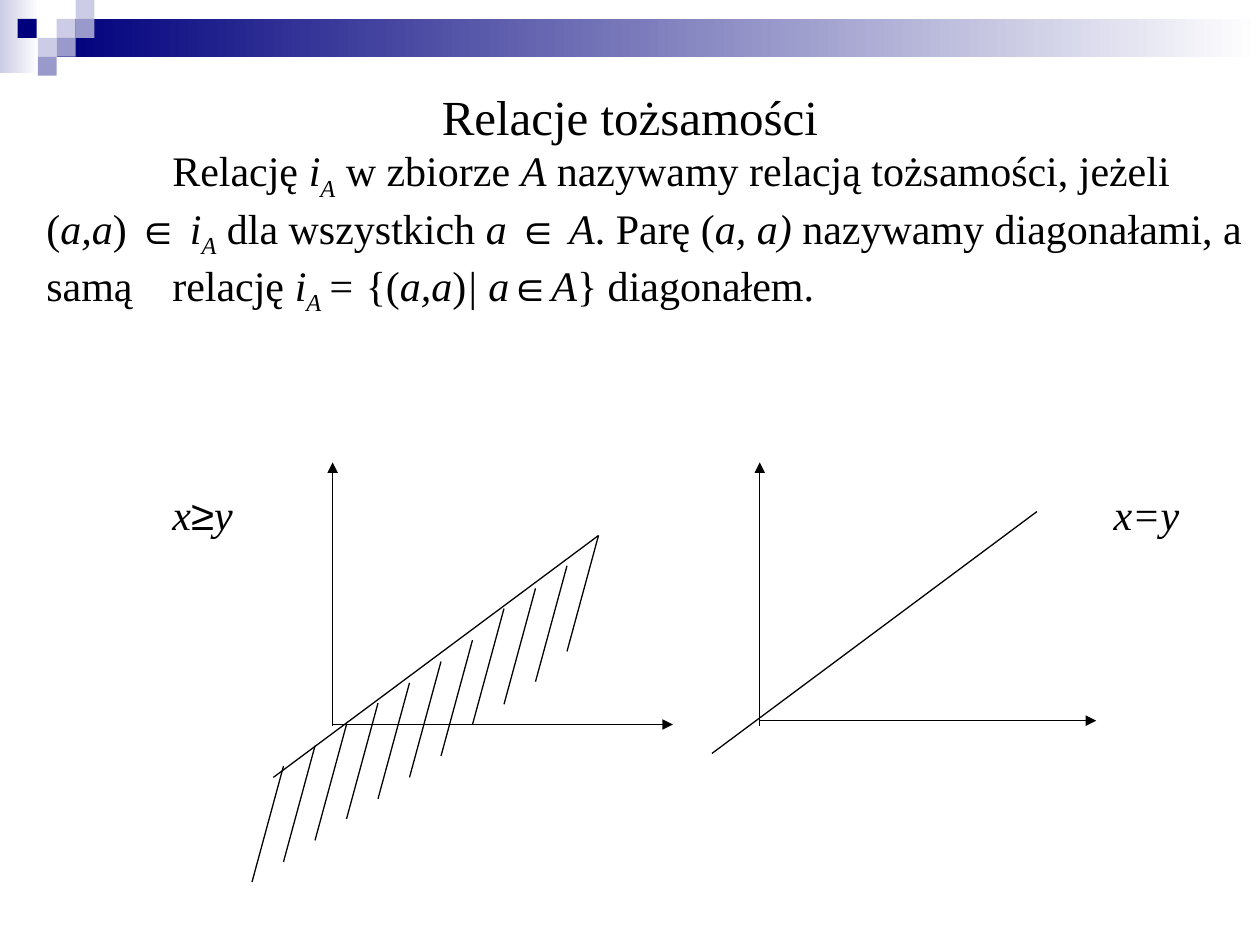
from dataclasses import dataclass
from lxml.etree import SubElement
from pptx import Presentation
from pptx.dml.color import RGBColor
from pptx.enum.shapes import MSO_CONNECTOR, MSO_SHAPE
from pptx.enum.text import MSO_ANCHOR, MSO_AUTO_SIZE, PP_ALIGN
from pptx.oxml.ns import qn
from pptx.util import Inches, Pt


@dataclass(frozen=True)
class Theme:
    ink: str = "000000"
    navy: str = "00007D"
    mid: str = "9999CC"
    pale: str = "CCCCE6"
    white: str = "FFFFFF"
    font: str = "Times New Roman"
    sign: str = "Arial"
    head: int = 28
    body: int = 24
    line: float = 0.75


class Deck:
    def __init__(self, theme):
        self.theme = theme
        self.file = Presentation()
        self.file.slide_width, self.file.slide_height = Inches(10), Inches(7.5)
        self.slide = self.file.slides.add_slide(self.file.slide_layouts[5])

    def rect(self, x, y, w, h, color, fade=None):
        box = self.slide.shapes.add_shape(
            MSO_SHAPE.RECTANGLE, Inches(x), Inches(y), Inches(w), Inches(h))
        box.shadow.inherit = False
        box.line.fill.background()
        if fade:
            box.fill.gradient()
            box.fill.gradient_angle = 0
            for stop, tone in zip(box.fill.gradient_stops, (color, fade)):
                stop.color.rgb = RGBColor.from_string(tone)
        else:
            box.fill.solid()
            box.fill.fore_color.rgb = RGBColor.from_string(color)

    def line(self, start, end, arrow=False):
        line = self.slide.shapes.add_connector(
            MSO_CONNECTOR.STRAIGHT, *(Inches(v) for v in (*start, *end)))
        line.line.color.rgb = RGBColor.from_string(self.theme.ink)
        line.line.width = Pt(self.theme.line)
        if arrow:
            SubElement(line.line._get_or_add_ln(), qn("a:tailEnd"), type="triangle")
        SubElement(line._element.spPr, qn("a:effectLst"))

    def run(self, para, text, size, style=""):
        """Style letters: i italic, s subscript, m maths sign."""
        run = para.add_run()
        run.text = text
        font = run.font
        font.name = self.theme.sign if "m" in style else self.theme.font
        font.size = Pt(size)
        font.italic = "i" in style
        font.color.rgb = RGBColor.from_string(self.theme.ink)
        if "s" in style:
            run._r.get_or_add_rPr().set("baseline", "-25000")

    def frame(self, shape):
        frame = shape.text_frame
        frame.word_wrap = True
        frame.auto_size = MSO_AUTO_SIZE.NONE
        frame.vertical_anchor = MSO_ANCHOR.TOP
        return frame.paragraphs[0]

    def title(self, x, y, w, h, text):
        shape = self.slide.shapes.title
        shape.left, shape.top = Inches(x), Inches(y)
        shape.width, shape.height = Inches(w), Inches(h)
        para = self.frame(shape)
        para.alignment = PP_ALIGN.CENTER
        self.run(para, text, self.theme.head)

    def text(self, x, y, w, h, runs, indent=0, tab=None):
        para = self.frame(self.slide.shapes.add_textbox(
            Inches(x), Inches(y), Inches(w), Inches(h)))
        props = para._p.get_or_add_pPr()
        props.set("indent", str(Inches(indent)))
        if tab:
            tabs = SubElement(props, qn("a:tabLst"))
            SubElement(tabs, qn("a:tab"), pos=str(Inches(tab)), algn="l")
        for text, style in runs:
            self.run(para, text, self.theme.body, style)


def main():
    theme = Theme()
    deck = Deck(theme)

    # Header band and mosaic
    deck.rect(0, 0, 0.31, 0.58, theme.pale, theme.white)
    deck.rect(0.45, 0.15, 9.55, 0.3, theme.navy, theme.white)
    tiles = [(0.45, 0.15, theme.pale), (0.6, 0, theme.pale), (0.6, 0.15, theme.mid),
             (0.3, 0.3, theme.pale), (0.14, 0.15, theme.navy),
             (0.45, 0.3, theme.mid), (0.3, 0.45, theme.mid)]
    for x, y, color in tiles:
        deck.rect(x, y, 0.15, 0.15, color)

    # Title and definition
    deck.title(0, 0.64, 10, 0.5, "Relacje tożsamości")
    deck.text(0.27, 1.1, 9.73, 1.5, [
        ("Relację ", ""), ("i", "i"), ("A", "is"), (" w zbiorze ", ""), ("A", "i"),
        (" nazywamy relacją tożsamości, jeżeli (", ""), ("a,a", "i"), (") ", ""),
        ("∈", "im"), (" i", "i"), ("A", "is"), (" dla wszystkich ", ""),
        ("a ", "i"), ("∈", "im"), (" A", "i"), (". Parę (", ""), ("a, a)", "i"),
        (" nazywamy diagonałami, a samą\trelację ", ""), ("i", "i"), ("A ", "is"),
        ("= ", "i"), ("{(", ""), ("a,a", "i"), (")", ""), ("| a", "i"),
        ("∈", "im"), ("A", "i"), ("} diagonałem.", ""),
    ], indent=1, tab=0.93)

    # Graph labels
    deck.text(1.27, 3.83, 1, 0.5, [("x", "i"), ("≥", "m"), ("y", "i")])
    deck.text(8.74, 3.83, 1, 0.5, [("x=y", "i")])

    # Axes and diagonal of each graph
    for x, y, tip, low, high in [
            (2.64, 5.75, 5.34, (2.17, 6.17), (4.75, 4.25)),
            (6.03, 5.72, 8.7, (5.65, 5.98), (8.23, 4.06))]:
        deck.line((x, 5.76), (x, 3.67), arrow=True)
        deck.line((x, y), (tip, y), arrow=True)
        deck.line(low, high)

    # Hatching below the left diagonal
    tops = [6.08, 5.92, 5.75, 5.58, 5.42, 5.25, 5.08, 4.83, 4.67, 4.49, 4.25]
    for step, top in enumerate(tops):
        x = 2.25 + 0.25 * step
        deck.line((x, top), (x - 0.25, top + 0.92))

    deck.file.save("out.pptx")


if __name__ == "__main__":
    main()
